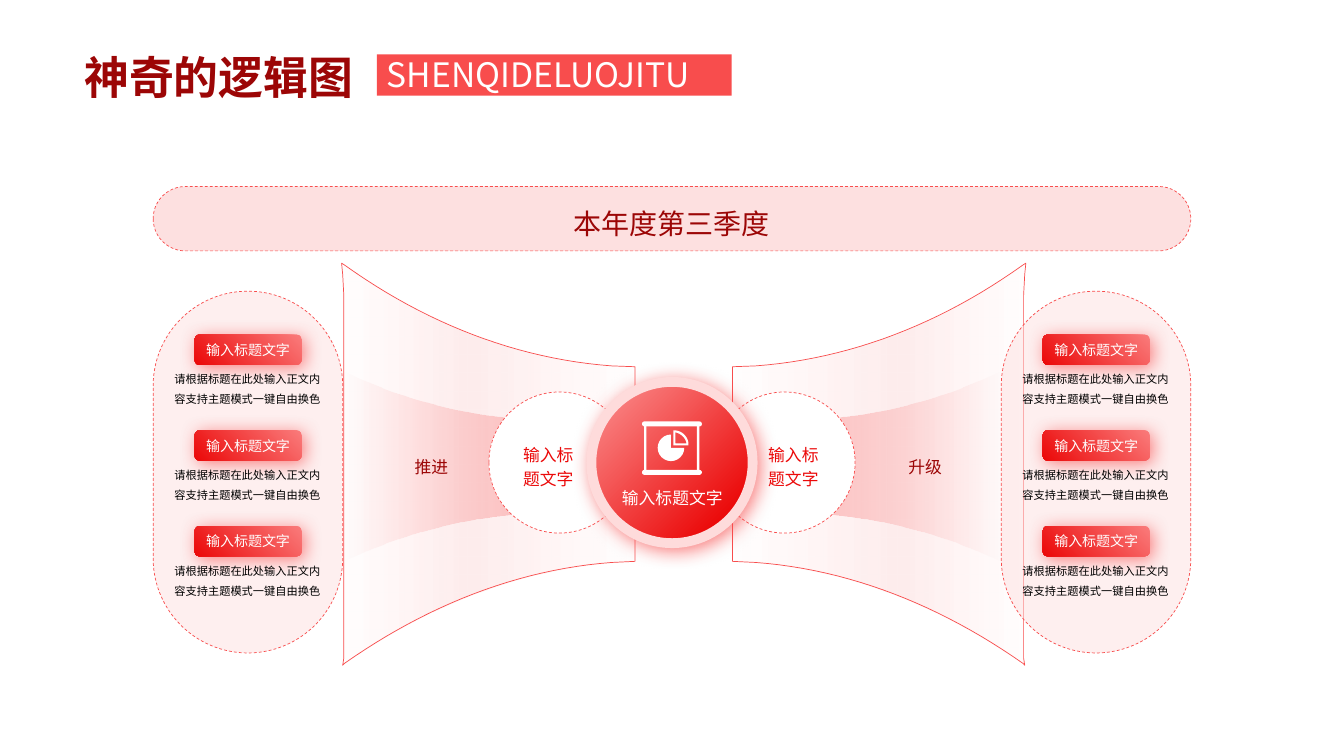
import pptx
import pptx.dml.color
import pptx.enum.dml
import pptx.enum.shapes
import pptx.enum.text
import pptx.oxml
import pptx.oxml.ns
import pptx.util

SHAPE = pptx.enum.shapes.MSO_SHAPE
ALIGN = pptx.enum.text.PP_ALIGN
ANCHOR = pptx.enum.text.MSO_ANCHOR
qn = pptx.oxml.ns.qn

COLORS = {
    "white": "FFFFFF", "black": "000000", "dark": "9C0606", "red": "EB0909",
    "coral": "F84D4D", "pink": "FA7B7B", "rose": "FB9494", "blush": "FCB8B8",
    "pale": "FEDBDB",
}
JP, SC = "Noto Sans CJK JP", "Noto Sans CJK SC"
COLUMNS, ROWS = 48, 27  # square cells


def bezier(p0, p1, p2, p3, steps=24):
    """Points along a cubic curve, without its start."""
    for t in (i / steps for i in range(1, steps + 1)):
        u = 1 - t
        weights = (u ** 3, 3 * u * u * t, 3 * u * t * t, t ** 3)
        yield tuple(sum(w * p[axis] for w, p in zip(weights, (p0, p1, p2, p3)))
                    for axis in (0, 1))


def trace(*steps):
    """Outline from points (x, y) and curves given as triples of points."""
    points = []
    for step in steps:
        if len(step) == 3:
            points += bezier(points[-1], *step)
        else:
            points.append(step)
    return points


class Deck:
    def __init__(self):
        self.prs = pptx.Presentation()
        self.prs.slide_width = pptx.util.Inches(13.33)
        self.prs.slide_height = pptx.util.Inches(7.5)
        self.cell_w = self.prs.slide_width / COLUMNS
        self.cell_h = self.prs.slide_height / ROWS
        self.shapes = self.prs.slides.add_slide(self.prs.slide_layouts[6]).shapes

    def emu(self, x, y):
        return round(x * self.cell_w), round(y * self.cell_h)

    def place(self, box):
        return self.emu(*box[:2]) + self.emu(*box[2:])

    def rgb(self, name):
        return pptx.dml.color.RGBColor.from_string(COLORS[name])

    def color_xml(self, name, alpha=100):
        return (f'<a:srgbClr val="{COLORS[name]}">'
                f'<a:alpha val="{alpha * 1000}"/></a:srgbClr>')

    def style(self, sp, fill, line=None, width=0.5, dash=False, shadow=False):
        """fill: a name, (name, alpha), or (angle, [(position, name, alpha), ...])."""
        ns = pptx.oxml.ns.nsdecls("a")
        sp.fill.background()
        if isinstance(fill, tuple) and isinstance(fill[1], list):
            stops = "".join(f'<a:gs pos="{pos * 1000}">{self.color_xml(name, alpha)}</a:gs>'
                            for pos, name, alpha in fill[1])
            xml = (f'<a:gradFill {ns} rotWithShape="1"><a:gsLst>{stops}</a:gsLst>'
                   f'<a:lin ang="{fill[0] * 60000}" scaled="0"/></a:gradFill>')
        else:
            name, alpha = fill if isinstance(fill, tuple) else (fill, 100)
            xml = f'<a:solidFill {ns}>{self.color_xml(name, alpha)}</a:solidFill>'
        spPr = sp.element.spPr
        spPr.replace(spPr.find(qn("a:noFill")), pptx.oxml.parse_xml(xml))
        if line:
            sp.line.color.rgb = self.rgb(line)
            sp.line.width = pptx.util.Pt(width)
            if dash:
                sp.line.dash_style = pptx.enum.dml.MSO_LINE.DASH
        else:
            sp.line.fill.background()
        sp.shadow.inherit = False
        if shadow:
            spPr.find(qn("a:effectLst")).append(pptx.oxml.parse_xml(
                f'<a:outerShdw {ns} blurRad="{pptx.util.Pt(13)}" dist="{pptx.util.Pt(3)}" '
                f'dir="2700000" algn="tl" rotWithShape="0">'
                f'{self.color_xml("coral", 70)}</a:outerShdw>'))
        return sp

    def shape(self, kind, box, fill, adj=None, **look):
        sp = self.shapes.add_shape(kind, *self.place(box))
        if adj is not None:
            sp.adjustments[0] = adj
        return self.style(sp, fill, **look)

    def outline(self, contours, fill, **look):
        contours = [[self.emu(*point) for point in contour] for contour in contours]
        builder = self.shapes.build_freeform(*contours[0][0])
        for i, contour in enumerate(contours):
            if i:
                builder.move_to(*contour[0])
            builder.add_line_segments(contour[1:], close=True)
        return self.style(builder.convert_to_shape(), fill, **look)

    def label(self, sp, text, size, color, font=JP, align=ALIGN.CENTER, spacing=None,
              bold=False, inset=0.0, anchor=ANCHOR.MIDDLE):
        tf = sp.text_frame
        tf.word_wrap = True
        tf.auto_size = pptx.enum.text.MSO_AUTO_SIZE.SHAPE_TO_FIT_TEXT
        tf.vertical_anchor = anchor
        tf.margin_left = tf.margin_right = pptx.util.Inches(inset)
        tf.margin_top = tf.margin_bottom = pptx.util.Inches(inset / 2)
        tf.text = text
        for p in tf.paragraphs:
            p.alignment = align
            if spacing:
                p.line_spacing = spacing
            for r in p.runs:
                r.font.size = pptx.util.Pt(size)
                r.font.bold = bold
                r.font.color.rgb = self.rgb(color)
                r.font.name = font
        for rPr in sp.element.iter(qn("a:rPr")):
            rPr.append(pptx.oxml.parse_xml(
                f'<a:ea {pptx.oxml.ns.nsdecls("a")} typeface="{font}"/>'))

    def text(self, box, text, size, color, **look):
        self.label(self.shapes.add_textbox(*self.place(box)), text, size, color, **look)


def main():
    d = Deck()

    # Wings: left outline, mirrored for the right
    outer = trace((12.2, 9.4), (12.31, 9.47), ((15.23, 11.56), (18.47, 12.82), (21.85, 13.07)),
                  (22.68, 13.1), (22.68, 20.05), (21.85, 20.09),
                  ((18.47, 20.34), (15.23, 21.64), (12.31, 23.69)),
                  (12.24, 23.76), (12.28, 23.51), (12.28, 10.55), (12.24, 9.8))
    inner = trace((12.2, 13.25), (12.31, 13.28), ((14.36, 14.29), (16.67, 14.87), (19.08, 15.01)),
                  (19.69, 15.01), (19.69, 18.32), (19.08, 18.32),
                  ((16.67, 18.43), (14.36, 19.04), (12.31, 20.02)),
                  (12.24, 20.05), (12.24, 13.79))
    outer_fade = [(0, "coral", 0), (57, "coral", 10), (100, "coral", 0)]
    inner_fade = [(0, "coral", 34), (100, "coral", 0)]
    for wing, mirror, fade, line in ((outer, 48.84, outer_fade, "coral"),
                                     (inner, 48, inner_fade, None)):
        d.outline([wing], (180, fade), line=line)
        d.outline([[(mirror - x, y) for x, y in wing]], (0, fade), line=line)

    # Circles
    for x in (17.46, 25.5):
        d.shape(SHAPE.OVAL, (x, 14, 5.04, 5.04), "white", line="coral", dash=True)
    d.shape(SHAPE.OVAL, (21.12, 13.64, 5.76, 5.76),
            (45, [(0, "rose", 100), (84, "red", 100)]), line="pale", width=7, shadow=True)
    for x in (17.93, 26.68):
        d.text((x, 15.77, 3.31, 1.69), "输入标\n题文字", 12, "red", spacing=1.2)

    # Side panels with three entries each
    for shift in (0, 30.29):
        d.shape(SHAPE.ROUNDED_RECTANGLE, (5.47 + shift, 10.4, 6.77, 12.92), ("pale", 43),
                adj=0.5, line="coral", dash=True)
        for row in range(3):
            y = 11.95 + 3.42 * row
            pill = d.shape(SHAPE.ROUNDED_RECTANGLE, (6.95 + shift, y, 3.82, 1.08),
                           (135, [(0, "pink", 100), (100, "red", 100)]), shadow=True)
            d.label(pill, "输入标题文字", 10, "white")
            d.text((6.16 + shift, y + 1.14, 5.36, 1.4),
                   "请根据标题在此处输入正文内容支持主题模式一键自由换色", 8, "black", spacing=1.5)

    # Title
    d.text((2.66, 1.58, 12.49, 2.3), "神奇的逻辑图", 32, "dark", font=SC, bold=True,
           align=ALIGN.LEFT, inset=0.1, anchor=ANCHOR.TOP)
    d.shape(SHAPE.RECTANGLE, (13.46, 1.94, 12.67, 1.48), "coral")
    d.text((13.46, 1.76, 12.67, 1.8), "SHENQIDELUOJITU", 24, "white",
           align=ALIGN.JUSTIFY, inset=0.1)

    # Centre label and presentation-board icon
    d.text((21.46, 17.1, 5.11, 0.97), "输入标题文字", 12, "white", font=SC, spacing=1.5)
    slide_shapes = d.shapes
    d.shapes = slide_shapes.add_group_shape().shapes
    for y in (15.05, 16.78):
        d.shape(SHAPE.ROUNDED_RECTANGLE, (22.93, y, 2.14, 0.18), "white", adj=0.5)
    d.shape(SHAPE.FRAME, (23, 15.12, 1.98, 1.76), "white", adj=0.05)
    d.shape(SHAPE.PIE, (23.49, 15.52, 0.95, 0.95), "white")
    d.outline([trace((24.59, 15.91), (24.05, 15.91), (24.05, 15.37), (24.08, 15.37),
                     ((24.34, 15.37), (24.59, 15.59), (24.59, 15.88))),
               trace((24.12, 15.84), (24.52, 15.84),
                     ((24.48, 15.62), (24.3, 15.48), (24.12, 15.44)))], "white")
    d.shapes = slide_shapes

    # Banner and wing labels
    d.shape(SHAPE.ROUNDED_RECTANGLE, (5.47, 6.66, 37.06, 2.3), ("blush", 43),
            adj=0.5, line="coral", dash=True)
    d.text((16.74, 6.88, 14.51, 1.62), "本年度第三季度", 20, "dark", font=SC, spacing=1.5)
    for x, caption in ((13.75, "推进"), (31.39, "升级")):
        d.text((x, 16.2, 3.31, 0.83), caption, 12, "dark", spacing=1.2)

    d.prs.save("out.pptx")


if __name__ == "__main__":
    main()
